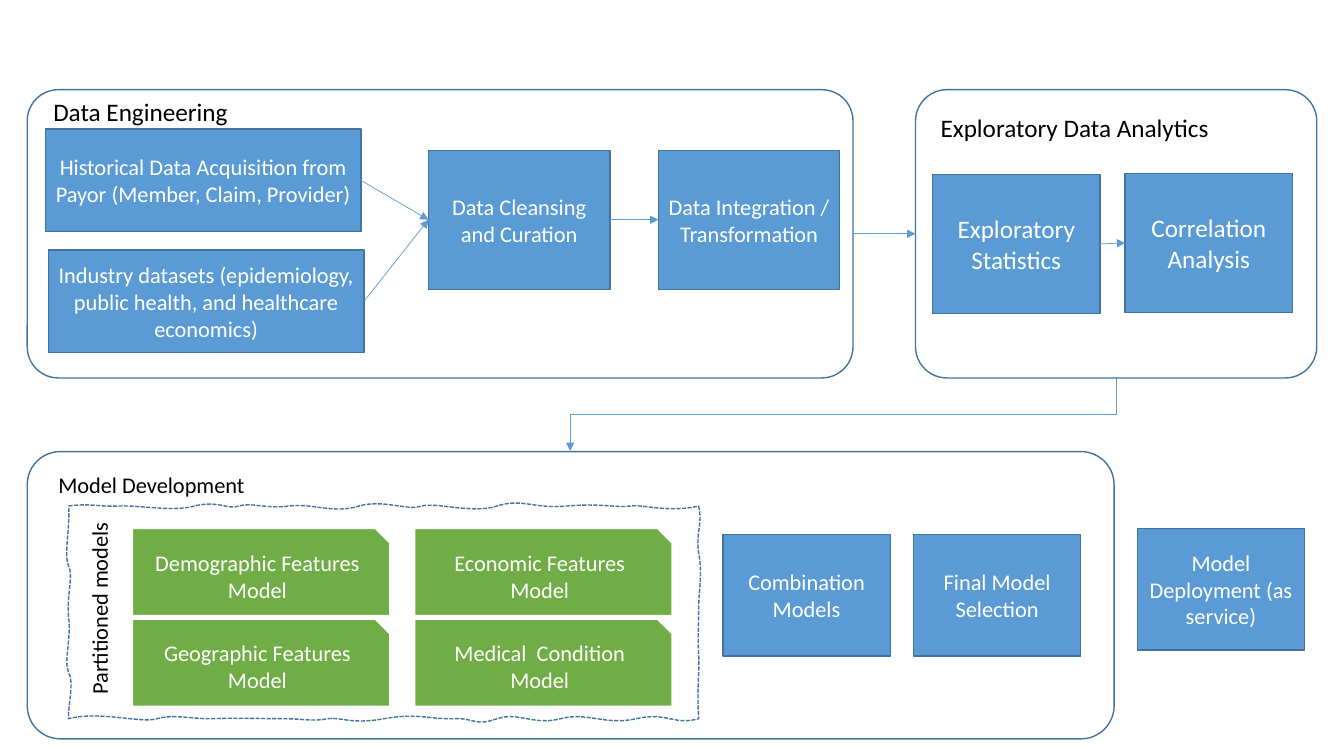
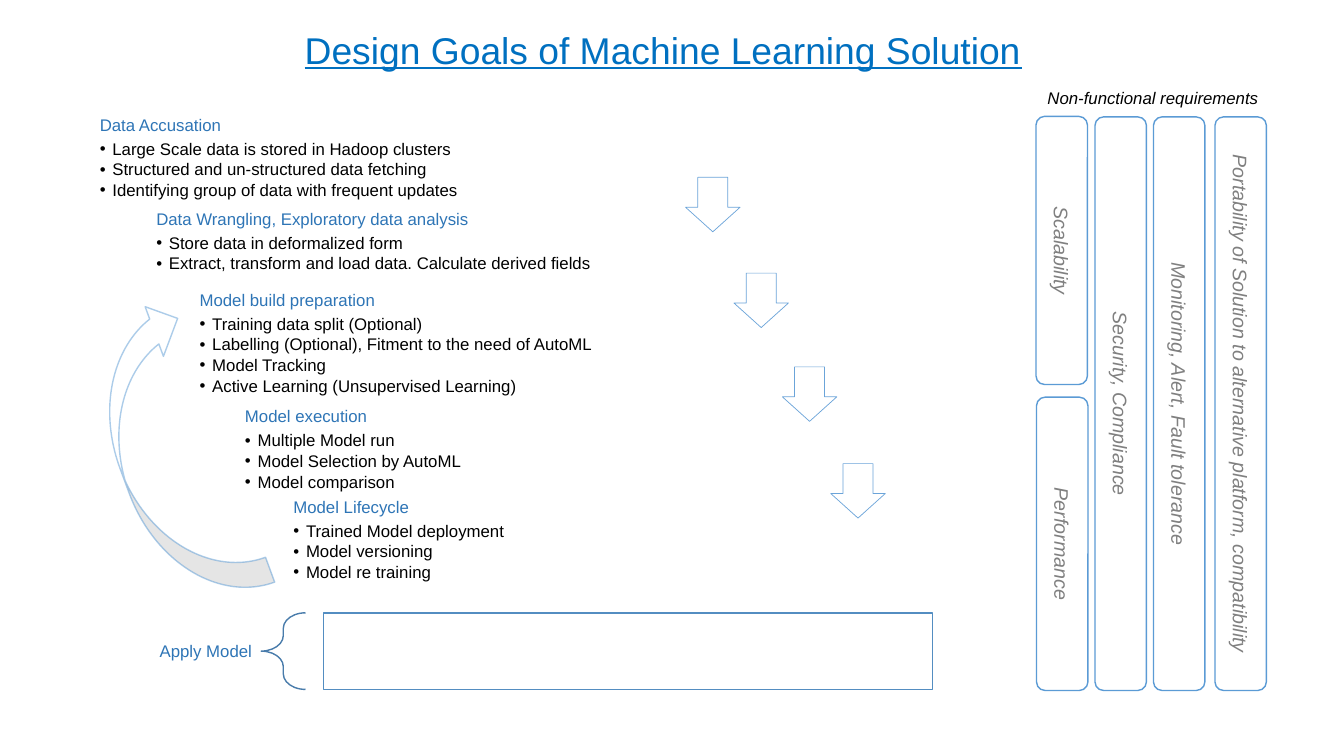
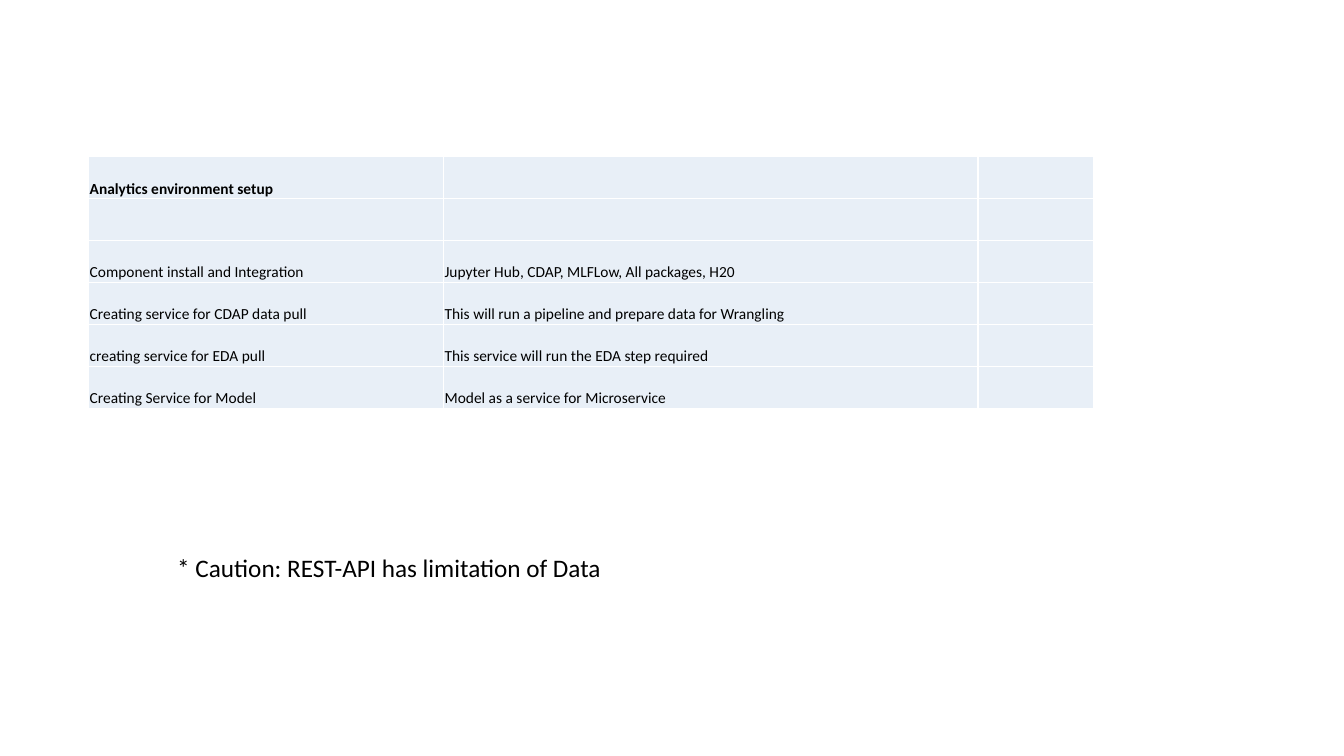
import dataclasses
import lxml.etree
import pptx
import pptx.dml.color
import pptx.enum.dml
import pptx.enum.shapes
import pptx.enum.text
import pptx.oxml.ns
import pptx.util

Inches = pptx.util.Inches
Pt = pptx.util.Pt
SHAPE = pptx.enum.shapes.MSO_SHAPE
CONNECTOR = pptx.enum.shapes.MSO_CONNECTOR
ALIGN = pptx.enum.text.PP_ALIGN
ANCHOR = pptx.enum.text.MSO_ANCHOR
color = pptx.dml.color.RGBColor.from_string
qn = pptx.oxml.ns.qn


@dataclasses.dataclass(frozen=True)
class Theme:
    blue = color("5B9BD5")
    edge = color("43739E")
    green = color("70AD47")
    white = color("FFFFFF")
    black = color("000000")
    gray = color("808080")
    title = color("0070C0")
    heading = color("2E75B6")
    brace = color("497CAB")
    frame = color("538DC1")
    cell = color("E8EFF7")
    diagram_font = "Calibri"
    design_font = "Arial"
    title_size = Pt(26.6)
    large = Pt(18)
    medium = Pt(16)
    requirement = Pt(14)
    small = Pt(12)
    table = Pt(11)


theme = Theme()


def add_box(slide, kind, at, fill=None, line=theme.edge, width=1, text="",
            size=theme.medium, font=theme.diagram_font, ink=theme.white, opacity=100):
    shape = slide.shapes.add_shape(kind, *map(Inches, at))
    shape.shadow.inherit = False
    if fill is None:
        shape.fill.background()
    else:
        shape.fill.solid()
        shape.fill.fore_color.rgb = fill
    if line is None:
        shape.line.fill.background()
    else:
        shape.line.color.rgb = line
        shape.line.width = Pt(width)
    if opacity < 100:
        for tone in shape.element.spPr.iter(qn("a:srgbClr")):
            lxml.etree.SubElement(tone, qn("a:alpha"), val=str(opacity * 1000))
    if text:
        frame = shape.text_frame
        frame.word_wrap = True
        frame.vertical_anchor = ANCHOR.MIDDLE
        paragraph = frame.paragraphs[0]
        paragraph.text = text
        paragraph.alignment = ALIGN.CENTER
        paragraph.font.name = font
        paragraph.font.size = size
        paragraph.font.color.rgb = ink
        paragraph.font.italic = font == theme.design_font
    return shape


def add_text(slide, at, text, size=theme.small, font=theme.diagram_font,
             ink=theme.black, bullets=(), wrap=True):
    shape = slide.shapes.add_textbox(*map(Inches, at))
    frame = shape.text_frame
    frame.word_wrap = wrap
    for index, line in enumerate([text, *bullets]):
        paragraph = frame.add_paragraph() if index else frame.paragraphs[0]
        paragraph.text = line
        if bullets:
            paragraph.line_spacing = 0.9
            properties = paragraph._p.get_or_add_pPr()
            space_after = lxml.etree.SubElement(properties, qn("a:spcAft"))
            lxml.etree.SubElement(space_after, qn("a:spcPct"), val="15000" if index else "35000")
        if index:
            properties.set("marL", str(Inches(0.125)))
            properties.set("indent", str(-Inches(0.125)))
            lxml.etree.SubElement(properties, qn("a:buFont"), typeface=font)
            lxml.etree.SubElement(properties, qn("a:buChar"), char="•")
        paragraph.font.name = font
        paragraph.font.size = size
        paragraph.font.color.rgb = theme.black if index else ink
    if bullets:
        frame.vertical_anchor = ANCHOR.MIDDLE
        frame.margin_left = frame.margin_right = Inches(0.05)
        frame.margin_top = frame.margin_bottom = Inches(0.05)
    return shape


presentation = pptx.Presentation()
presentation.slide_width = Inches(13.33)
presentation.slide_height = Inches(7.5)
title_only = presentation.slide_layouts[5]
blank = presentation.slide_layouts[6]

slide = presentation.slides.add_slide(blank)
panels = {}
for name, at, radius, label_at, size in [
    ("Data Engineering", (0.27, 0.89, 8.19, 2.86), 0.108, (0.43, 0.91, 1.95, 0.4), theme.large),
    ("Exploratory Data Analytics", (9.08, 0.89, 3.98, 2.86), 0.109, (9.23, 1.07, 2.89, 0.4), theme.large),
    ("Model Development", (0.27, 4.48, 10.78, 2.85), 0.115, (0.48, 4.62, 2.07, 0.37), theme.medium),
]:
    panels[name] = add_box(slide, SHAPE.ROUNDED_RECTANGLE, at)
    panels[name].adjustments[0] = radius
    add_text(slide, label_at, name, size, wrap=False)

steps = {}
for name, at, size, text in [
    ("history", (0.45, 1.28, 3.13, 1.02), theme.medium, "Historical Data Acquisition from Payor (Member, Claim, Provider)"),
    ("industry", (0.48, 2.48, 3.13, 1.02), theme.medium, "Industry datasets (epidemiology, public health, and healthcare economics)"),
    ("cleansing", (4.25, 1.49, 1.8, 1.38), theme.medium, "Data Cleansing and Curation"),
    ("integration", (6.53, 1.49, 1.8, 1.38), theme.medium, "Data Integration / Transformation"),
    ("statistics", (9.25, 1.73, 1.66, 1.38), theme.large, "Exploratory Statistics"),
    ("correlation", (11.16, 1.72, 1.66, 1.38), theme.large, "Correlation Analysis"),
    ("combination", (7.17, 5.3, 1.66, 1.21), theme.medium, "Combination Models"),
    ("selection", (9.06, 5.3, 1.66, 1.21), theme.medium, "Final Model Selection"),
    ("deployment", (11.28, 5.24, 1.66, 1.21), theme.medium, "Model Deployment (as service)"),
]:
    steps[name] = add_box(slide, SHAPE.RECTANGLE, at, theme.blue, text=text, size=size)
steps["integration"].text_frame.margin_left = Inches(0.09)
steps["integration"].text_frame.margin_right = Inches(0.09)

for index, feature in enumerate(["Demographic Features", "Economic Features",
                                 "Geographic Features", "Medical  Condition"]):
    row, column = divmod(index, 2)
    add_box(slide, SHAPE.SNIP_1_RECTANGLE, (1.31 + column * 2.8, 5.24 + row * 0.9, 2.56, 0.87),
            theme.green, theme.white, 1.5, f"{feature} Model")

wavy_curves = [
    (0.9, 4.99, 0.98, 5.03, 1.18, 5.02), (1.39, 5.01, 1.71, 5.08, 1.93, 5.02),
    (2.16, 4.96, 2.26, 5.06, 2.37, 5.02), (2.48, 4.98, 2.64, 5.05, 2.87, 5.02),
    (3.1, 4.99, 3.31, 5.1, 3.56, 5.02), (3.8, 4.95, 4.04, 5.07, 4.18, 5.02),
    (4.33, 4.98, 4.69, 5.1, 4.93, 5.02), (5.18, 4.94, 5.29, 5.05, 5.62, 5.02),
    (5.96, 4.99, 6.12, 5.04, 6.25, 5.02), (6.37, 5, 6.63, 5.09, 6.93, 5.02),
    (6.97, 5.21, 6.9, 5.28, 6.93, 5.49), (6.97, 5.69, 6.93, 5.86, 6.93, 6.01),
    (6.93, 6.17, 6.92, 6.36, 6.93, 6.5), (6.94, 6.64, 6.91, 6.84, 6.93, 7.13),
    (6.68, 7.2, 6.62, 7.06, 6.31, 7.13), (6, 7.2, 5.83, 7.06, 5.56, 7.13),
    (5.29, 7.2, 5.15, 7.06, 4.93, 7.13), (4.71, 7.21, 4.71, 7.12, 4.5, 7.13),
    (4.28, 7.14, 4.14, 7.07, 3.81, 7.13), (3.48, 7.19, 3.38, 7.11, 3.25, 7.13),
    (3.11, 7.16, 3, 7.13, 2.81, 7.13), (2.62, 7.13, 2.29, 7.12, 2.12, 7.13),
    (1.95, 7.14, 1.72, 7.08, 1.56, 7.13), (1.4, 7.18, 1, 7.05, 0.68, 7.13),
    (0.67, 7.02, 0.74, 6.77, 0.68, 6.67), (0.63, 6.56, 0.71, 6.33, 0.68, 6.12),
    (0.66, 5.9, 0.73, 5.72, 0.68, 5.61), (0.63, 5.51, 0.7, 5.21, 0.68, 5.02),
]
left, top = 0.68, 5.02
builder = slide.shapes.build_freeform(Inches(left), Inches(top))
builder.add_line_segments([(Inches(curve[4]), Inches(curve[5])) for curve in wavy_curves], close=True)
partition = builder.convert_to_shape()
segments = list(partition.element.spPr.iter(qn("a:lnTo")))
for segment, curve in zip(segments, wavy_curves):
    segment.tag = qn("a:cubicBezTo")
    for point in list(segment):
        segment.remove(point)
    for x, y in zip(curve[::2], curve[1::2]):
        lxml.etree.SubElement(segment, qn("a:pt"), x=str(Inches(x) - Inches(left)),
                              y=str(Inches(y) - Inches(top)))
partition.shadow.inherit = False
partition.fill.background()
partition.line.color.rgb = theme.edge
partition.line.width = Pt(1)
partition.line.dash_style = pptx.enum.dml.MSO_LINE.SQUARE_DOT
add_text(slide, (0.02, 5.84, 1.93, 0.37), "Partitioned models", theme.medium, wrap=False).rotation = 270

connectors = []
for start, end in [
    (steps["history"], steps["cleansing"]),
    (steps["industry"], steps["cleansing"]),
    (steps["cleansing"], steps["integration"]),
    (steps["statistics"], steps["correlation"]),
    (panels["Data Engineering"], panels["Exploratory Data Analytics"]),
]:
    connector = slide.shapes.add_connector(CONNECTOR.STRAIGHT, 0, 0, 0, 0)
    connector.begin_connect(start, 3)
    connector.end_connect(end, 1)
    connectors.append(connector)
elbow = slide.shapes.add_connector(
    CONNECTOR.ELBOW, Inches(8), Inches(1.4), Inches(8.73), Inches(6.82))
elbow.element.spPr.find(qn("a:xfrm")).set("rot", str(90 * 60000))
connectors.append(elbow)
for connector in connectors:
    connector.line.color.rgb = theme.blue
    connector.line.width = Pt(0.5)
    lxml.etree.SubElement(connector.line._get_or_add_ln(), qn("a:tailEnd"), type="triangle")
    lxml.etree.SubElement(connector.element.spPr, qn("a:effectLst"))

slide = presentation.slides.add_slide(title_only)
title = slide.shapes.title
title.left, title.top, title.width, title.height = map(Inches, (0.22, 0.22, 12.72, 0.54))
title.text_frame.text = "Design Goals of Machine Learning Solution"
title.text_frame.auto_size = pptx.enum.text.MSO_AUTO_SIZE.NONE
paragraph = title.text_frame.paragraphs[0]
paragraph.alignment = ALIGN.CENTER
paragraph.font.name = theme.design_font
paragraph.font.size = theme.title_size
paragraph.font.underline = True
paragraph.font.color.rgb = theme.title

for card_at, at, heading, goals in [
    (None, (0.94, 1.18, 5.43, 0.78), "Data Accusation", [
        "Large Scale data is stored in Hadoop clusters",
        "Structured and un-structured data fetching",
        "Identifying group of data with frequent updates"]),
    ((1.47, 2.01, 6.42, 0.79), (1.5, 2.03, 5.35, 0.74), "Data Wrangling, Exploratory data analysis", [
        "Store data in deformalized form",
        "Extract, transform and load data. Calculate derived fields"]),
    ((1.89, 2.83, 6.42, 1.17), (1.93, 2.86, 5.33, 1.1), "Model build preparation", [
        "Training data split (Optional)",
        "Labelling (Optional), Fitment to the need of AutoML",
        "Model Tracking",
        "Active Learning (Unsupervised Learning)"]),
    ((2.36, 4.04, 6.42, 0.84), (2.38, 4.07, 5.35, 0.79), "Model execution", [
        "Multiple Model run",
        "Model Selection by AutoML",
        "Model comparison"]),
    ((2.84, 4.94, 6.42, 0.83), (2.86, 4.97, 5.35, 0.78), "Model Lifecycle", [
        "Trained Model deployment",
        "Model versioning",
        "Model re training"]),
]:
    if card_at:
        card = add_box(slide, SHAPE.ROUNDED_RECTANGLE, card_at, theme.white, None)
        card.adjustments[0] = 0.1
    add_text(slide, at, heading, theme.small, theme.design_font, theme.heading, goals)

for index, arrow_top in enumerate([1.76, 2.71, 3.64, 4.6]):
    arrow = add_box(slide, SHAPE.DOWN_ARROW, (6.8 + index * 0.48, arrow_top, 0.54, 0.54),
                    theme.white, theme.blue, 0.5, opacity=90)
    arrow.adjustments[0] = 0.55
    arrow.adjustments[1] = 0.45

feedback = add_box(slide, SHAPE.CURVED_LEFT_ARROW, (1.18, 3, 1.05, 3.05),
                   theme.white, theme.blue, opacity=50)
feedback.rotation = 159.8

apply_label = add_text(slide, (0.37, 6.08, 2.22, 0.76), "Apply Model", theme.small,
                       theme.design_font, theme.heading)
apply_label.text_frame.vertical_anchor = ANCHOR.MIDDLE
apply_label.text_frame.margin_right = Inches(0.09)
apply_label.text_frame.paragraphs[0].alignment = ALIGN.RIGHT
brace = add_box(slide, SHAPE.LEFT_BRACE, (2.59, 6.08, 0.44, 0.76), line=theme.brace)
brace.adjustments[0] = 0.35
add_box(slide, SHAPE.RECTANGLE, (3.21, 6.08, 6.04, 0.76), theme.white, theme.frame)

for bar_left, bar_top, length, requirement in [
    (9.2, 2.23, 2.66, "Scalability"),
    (9.08, 5.14, 2.91, "Performance"),
    (8.27, 3.75, 5.69, "Security, Compliance"),
    (8.85, 3.75, 5.69, "Monitoring, Alert, Fault tolerance"),
    (9.46, 3.75, 5.69, "Portability of Solution to alternative platform, compatibility"),
]:
    bar = add_box(slide, SHAPE.ROUNDED_RECTANGLE, (bar_left, bar_top, length, 0.51), theme.white,
                  theme.blue, 1, requirement, theme.requirement, theme.design_font, theme.gray)
    bar.rotation = 90
caption = add_text(slide, (10.29, 0.82, 2.51, 0.3), "Non-functional requirements",
                   theme.small, theme.design_font)
caption.text_frame.paragraphs[0].font.italic = True

slide = presentation.slides.add_slide(blank)
rows = [
    ("Analytics environment setup", "", ""),
    ("", "", ""),
    ("Component install and Integration", "Jupyter Hub, CDAP, MLFLow, All packages, H20", ""),
    ("Creating service for CDAP data pull", "This will run a pipeline and prepare data for Wrangling", ""),
    ("creating service for EDA pull", "This service will run the EDA step required", ""),
    ("Creating Service for Model", "Model as a service for Microservice", ""),
]
table_height = 2.5
table = slide.shapes.add_table(len(rows), 3, *map(Inches, (0.88, 1.55, 9.97, table_height))).table
table.first_row = False
table.horz_banding = False
for column, width in zip(table.columns, (3.52, 5.3, 1.15)):
    column.width = Inches(width)
for row_index, row in enumerate(rows):
    table.rows[row_index].height = Inches(table_height / len(rows))
    for column_index, text in enumerate(row):
        cell = table.cell(row_index, column_index)
        cell.vertical_anchor = ANCHOR.BOTTOM
        cell.margin_left = cell.margin_right = cell.margin_top = Inches(0.01)
        cell.margin_bottom = 0
        for side in ("a:lnL", "a:lnR", "a:lnT", "a:lnB"):
            border = lxml.etree.SubElement(cell._tc.get_or_add_tcPr(), qn(side), w=str(Pt(1)))
            paint = lxml.etree.SubElement(border, qn("a:solidFill"))
            lxml.etree.SubElement(paint, qn("a:srgbClr"), val=str(theme.white))
        cell.fill.solid()
        cell.fill.fore_color.rgb = theme.cell
        paragraph = cell.text_frame.paragraphs[0]
        paragraph.text = text
        paragraph.font.name = theme.diagram_font
        paragraph.font.size = theme.table
        paragraph.font.bold = row_index == 0
        paragraph.font.color.rgb = theme.black
add_text(slide, (1.66, 5.43, 8.86, 0.4), "* Caution: REST-API has limitation of Data", theme.large)

presentation.save("out.pptx")
